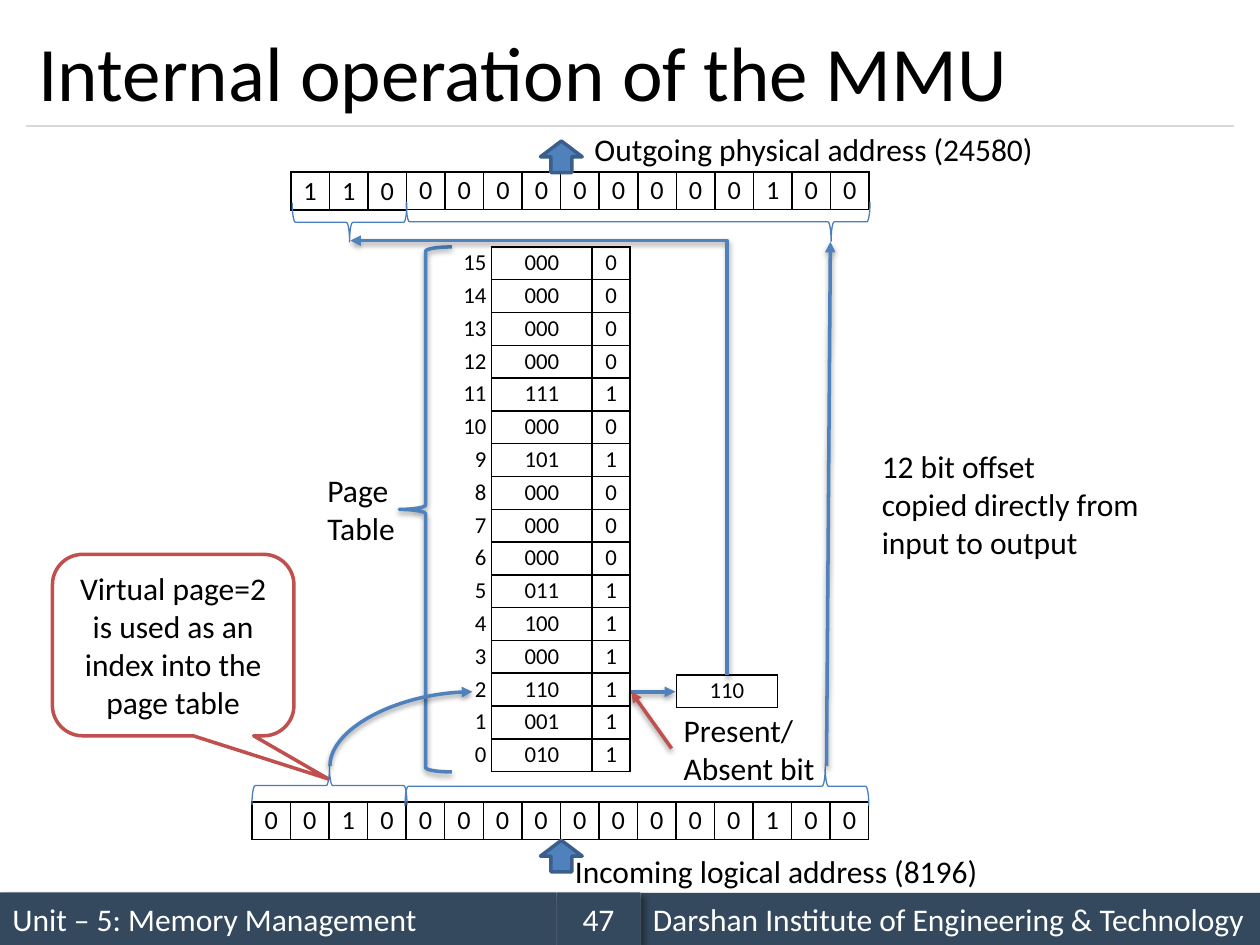
from lxml.etree import SubElement
from pptx import Presentation
from pptx.dml.color import RGBColor
from pptx.enum.shapes import MSO_CONNECTOR, MSO_SHAPE
from pptx.enum.text import MSO_ANCHOR, PP_ALIGN
from pptx.oxml.ns import qn
from pptx.util import Pt

BLACK = RGBColor(0x00, 0x00, 0x00)
WHITE = RGBColor(0xFF, 0xFF, 0xFF)
NAVY = RGBColor(0x34, 0x49, 0x5E)
GRAY = RGBColor(0xD9, 0xD9, 0xD9)
BLUE = RGBColor(0x4F, 0x81, 0xBD)
DARK_BLUE = RGBColor(0x3A, 0x5F, 0x8C)
BRACE_BLUE = RGBColor(0x4B, 0x7E, 0xBC)
RED = RGBColor(0xC0, 0x50, 0x4D)
LEFT, CENTER, RIGHT = PP_ALIGN.LEFT, PP_ALIGN.CENTER, PP_ALIGN.RIGHT

BAR_SHADOW = dict(alpha=40, blur=4, dist=3, angle=45)
SOFT_SHADOW = dict(alpha=38, blur=3.1, dist=1.6, angle=90)

FOOTERS = [
    ("Unit – 5: Memory Management", (0, 510, 318, 30), LEFT),
    ("Darshan Institute of Engineering & Technology", (366, 510.3, 354, 30), LEFT),
    ("47", (318, 510, 48, 30), CENTER),
]
LABELS = [
    (["Incoming logical address (8196)"], (321.5, 483.2, 266, 29)),
    (["Outgoing physical address (24580)"], (332.6, 70.8, 292, 29)),
    (["Page Table"], (180, 265.8, 78, 51)),
    (["12 bit offset", "copied directly from input to output"], (496.8, 252, 169, 73)),
    (["Present/", "Absent bit"], (383.6, 402.8, 96, 51)),
]
CALLOUT = ["Virtual page=2", "is used as an index into the page table"]

INCOMING = "0010000000000100"
OUTGOING_FRAME, OUTGOING_OFFSET = "110", "000000000100"
FRAMES = [
    ("000", "0"), ("000", "0"), ("000", "0"), ("000", "0"),
    ("111", "1"), ("000", "0"), ("101", "1"), ("000", "0"),
    ("000", "0"), ("000", "0"), ("011", "1"), ("100", "1"),
    ("000", "1"), ("110", "1"), ("001", "1"), ("010", "1"),
]
BIT_W, BIT_H, ROW_H = 22.05, 21.6, 18.75
BITS = dict(size=15, margins=(3.6, 1.7))
ROWS = dict(size=13, margins=(2.88, 1.3))

TABLES = [
    ([INCOMING], (144, 458.2), [BIT_W] * 16, BIT_H, BITS, CENTER, True),
    ([OUTGOING_OFFSET], (232.3, 98.2), [BIT_W] * 12, BIT_H, BITS, CENTER, True),
    (FRAMES, (280.8, 141.1), [57.6, 21.6], ROW_H, ROWS, CENTER, True),
    ([[str(15 - i)] for i in range(16)], (259.2, 141.1), [21.6], ROW_H, ROWS, RIGHT, False),
    ([["110"]], (386.6, 385.6), [57.6], ROW_H, ROWS, CENTER, True),
    ([OUTGOING_FRAME], (166.2, 98.4), [BIT_W] * 3, BIT_H, BITS, CENTER, True),
]
BRACES = [
    ((177.1, 404.6, 22.3, 88.6), 90, None),
    ((352.8, 316.8, 22.3, 265), 90, (0.083, 0.094)),
    ((188.6, 94.3, 22.3, 65.5), 270, None),
    ((353.5, -5.8, 22.3, 265), 270, (0.083, 0.916)),
]
ARROWS = [
    (None, (472.3, 437.8), (474.5, 138.2), BLUE, "tailEnd"),
    (None, (360.7, 395.3), (385.9, 395.3), BLUE, "tailEnd"),
    ("bentConnector2", (200.2, 137.5), (415.4, 385.9), BLUE, "headEnd"),
    (None, (383.8, 427.7), (360.7, 395.3), RED, "tailEnd"),
    ("curvedConnector2", (270, 395.3), (188.6, 437.8), BLUE, "headEnd"),
]


def write(tf, lines, size=18, color=BLACK, align=LEFT, anchor=MSO_ANCHOR.TOP):
    tf.word_wrap = True
    tf.vertical_anchor = anchor
    for i, line in enumerate(lines):
        p = tf.paragraphs[0] if i == 0 else tf.add_paragraph()
        p.alignment = align
        r = p.add_run()
        r.text = line
        for name, value in dict(name="Calibri", size=Pt(size)).items():
            setattr(r.font, name, value)
        r.font.color.rgb = color


def set_line(sp, color, width):
    sp.line.color.rgb = color
    sp.line.width = Pt(width)


def add_shadow(effects, alpha, blur, dist, angle):
    shadow = SubElement(effects, qn("a:outerShdw"), blurRad=str(Pt(blur)), dist=str(Pt(dist)),
                        dir=str(angle * 60000), rotWithShape="0")
    color = SubElement(shadow, qn("a:srgbClr"), val="000000")
    SubElement(color, qn("a:alpha"), val=str(alpha * 1000))


def add_shape(s, kind, box, fill=None, line=None, width=2, shadow=None):
    sp = s.shapes.add_shape(kind, *map(Pt, box))
    sp.shadow.inherit = False
    if fill is None:
        sp.fill.background()
    else:
        sp.fill.solid()
        sp.fill.fore_color.rgb = fill
    if line is None:
        sp.line.fill.background()
    else:
        set_line(sp, line, width)
    if shadow:
        add_shadow(sp._element.spPr.find(qn("a:effectLst")), **shadow)
    return sp


def add_line(s, start, end, color, width, preset=None, head=None, shadow=None):
    kind = MSO_CONNECTOR.ELBOW if preset else MSO_CONNECTOR.STRAIGHT
    sp = s.shapes.add_connector(kind, *map(Pt, start + end))
    set_line(sp, color, width)
    props = sp._element.spPr
    if preset:
        props.find(qn("a:prstGeom")).set("prst", preset)
    if head:
        SubElement(props.find(qn("a:ln")), qn("a:" + head), type="triangle")
    effects = SubElement(props, qn("a:effectLst"))
    if shadow:
        add_shadow(effects, **shadow)


def add_text(s, lines, box, **fmt):
    write(s.shapes.add_textbox(*map(Pt, box)).text_frame, lines, **fmt)


def set_borders(cell, visible):
    props = cell._tc.get_or_add_tcPr()
    for side in ("lnL", "lnR", "lnT", "lnB"):
        ln = SubElement(props, qn("a:" + side), w=str(Pt(1)))
        if visible:
            fill = SubElement(ln, qn("a:solidFill"))
            SubElement(fill, qn("a:srgbClr"), val=str(BLACK))
        else:
            SubElement(ln, qn("a:noFill"))


def add_table(s, rows, at, widths, height, style, align, bordered):
    box = (*at, sum(widths), height * len(rows))
    table = s.shapes.add_table(len(rows), len(widths), *map(Pt, box)).table
    table.first_row = table.horz_banding = False
    for column, width in zip(table.columns, widths):
        column.width = Pt(width)
    across, down = map(Pt, style["margins"])
    margins = dict(margin_left=across, margin_right=across, margin_top=down, margin_bottom=down)
    for row, values in zip(table.rows, rows):
        row.height = Pt(height)
        for cell, value in zip(row.cells, values):
            for name, margin in margins.items():
                setattr(cell, name, margin)
            set_borders(cell, bordered)
            cell.fill.background()
            write(cell.text_frame, [value], size=style["size"], align=align)


def main():
    prs = Presentation()
    prs.slide_width, prs.slide_height = Pt(720), Pt(540)
    s = prs.slides.add_slide(prs.slide_layouts[6])

    for text, box, align in FOOTERS:
        sp = add_shape(s, MSO_SHAPE.RECTANGLE, box, fill=NAVY, shadow=BAR_SHADOW)
        write(sp.text_frame, [text], color=WHITE, align=align, anchor=MSO_ANCHOR.MIDDLE)
    add_line(s, (15, 72), (705, 72), GRAY, 0.75)
    add_text(s, ["Internal operation of the MMU"], (15, 8.6, 690, 63.4), size=44,
             anchor=MSO_ANCHOR.MIDDLE)

    for table in TABLES:
        add_table(s, *table)
    for top in (80.6, 480.2):
        add_shape(s, MSO_SHAPE.UP_ARROW, (308.9, top, 23.8, 18), fill=BLUE, line=DARK_BLUE)
    add_shape(s, MSO_SHAPE.LEFT_BRACE, (228.2, 141.1, 30, 300), line=BLUE, shadow=SOFT_SHADOW)
    for box, rotation, adjustments in BRACES:
        sp = add_shape(s, MSO_SHAPE.LEFT_BRACE, box, line=BRACE_BLUE, width=0.75)
        sp.rotation = rotation
        for i, value in enumerate(adjustments or ()):
            sp.adjustments[i] = value
    for preset, start, end, color, head in ARROWS:
        add_line(s, start, end, color, 2, preset, head, SOFT_SHADOW)
    for lines, box in LABELS:
        add_text(s, lines, box)

    sp = add_shape(s, MSO_SHAPE.ROUNDED_RECTANGULAR_CALLOUT, (30, 316.8, 138, 103.7),
                   fill=WHITE, line=RED)
    for i, value in enumerate((0.643, 0.738, 0.167)):
        sp.adjustments[i] = value
    write(sp.text_frame, CALLOUT, align=CENTER, anchor=MSO_ANCHOR.MIDDLE)

    prs.save("out.pptx")


if __name__ == "__main__":
    main()
